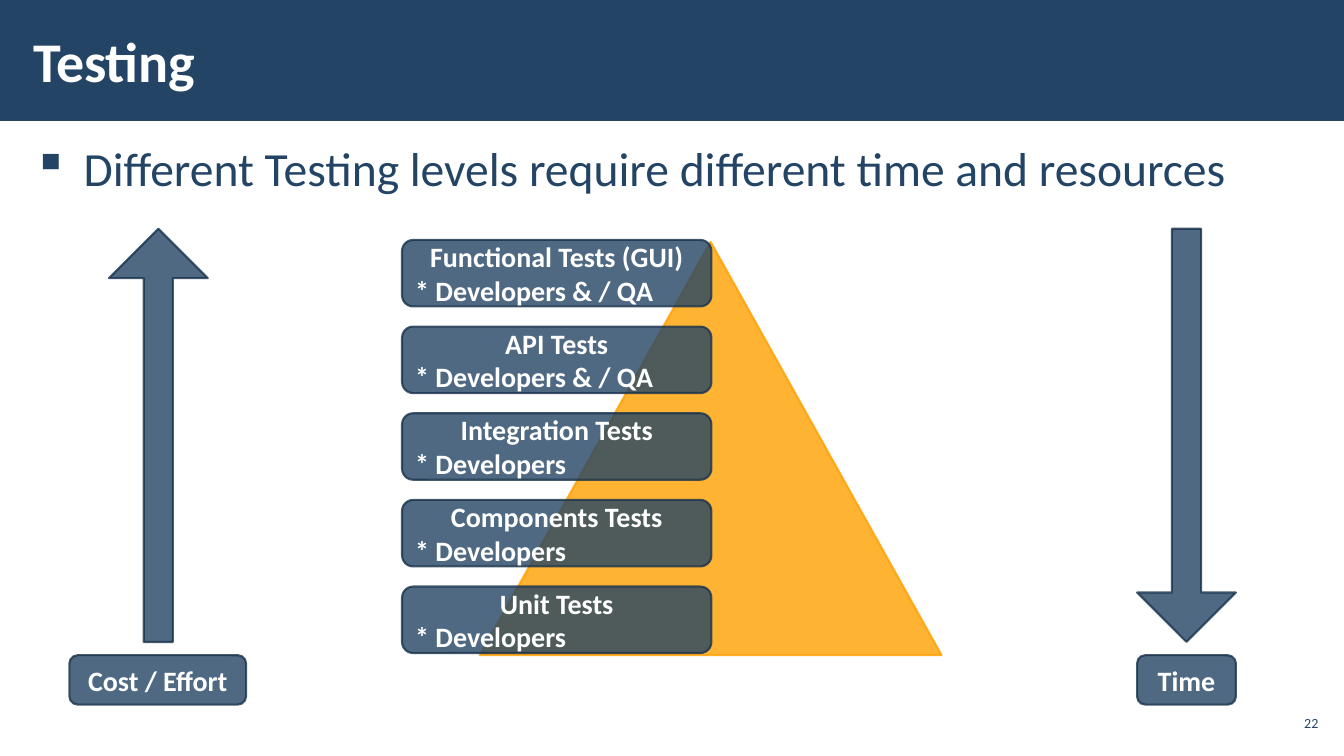
"""Build the slide on testing levels, their cost and their time."""
from lxml.etree import SubElement
from pptx import Presentation
from pptx.dml.color import RGBColor
from pptx.enum.shapes import MSO_SHAPE as Shape
from pptx.enum.text import MSO_ANCHOR as Anchor, PP_ALIGN as Align
from pptx.oxml.ns import qn
from pptx.util import Pt

NAVY = RGBColor(0x23, 0x44, 0x65)
DARK_NAVY = RGBColor(0x1A, 0x33, 0x4C)
ORANGE = RGBColor(0xFF, 0xA0, 0x00)
WHITE = RGBColor(0xFF, 0xFF, 0xFF)

deck = Presentation()
deck.slide_width, deck.slide_height = Pt(960), Pt(540)
slide = deck.slides.add_slide(deck.slide_layouts[6])


def add_translucent(kind, left, top, width, height, fill=NAVY, edge=DARK_NAVY):
    shape = slide.shapes.add_shape(kind, Pt(left), Pt(top), Pt(width), Pt(height))
    shape.shadow.inherit = False
    shape.fill.solid()
    shape.fill.fore_color.rgb = fill
    shape.line.color.rgb = edge
    shape.line.width = Pt(1.5)
    for color in shape._element.spPr.iter(qn("a:srgbClr")):
        SubElement(color, qn("a:alpha"), val="80000")
    return shape


def write(shape, lines, size, color, bold=False, anchor=Anchor.MIDDLE):
    frame = shape.text_frame
    frame.word_wrap = True
    frame.vertical_anchor = anchor
    for index, (text, align) in enumerate(lines):
        para = frame.add_paragraph() if index else frame.paragraphs[0]
        para.text = text
        para.alignment = align
        para.font.name = "Calibri"
        para.font.size = Pt(size)
        para.font.bold = bold
        para.font.color.rgb = color
    return frame


banner = slide.shapes.add_shape(Shape.RECTANGLE, 0, 0, Pt(960), Pt(86.4))
banner.shadow.inherit = False
banner.fill.solid()
banner.fill.fore_color.rgb = NAVY
banner.line.fill.background()

for text, left, top, width, height, side, size, color, bold, align, anchor in [
    ("Different Testing levels require different time and resources",
     15.1, 94.3, 930, 409.7, 8.64, 34, NAVY, False, Align.LEFT, Anchor.TOP),
    ("Testing", 15.1, 7.9, 749, 69.8, 8.64, 40, WHITE, True, Align.LEFT, Anchor.MIDDLE),
    ("22", 910.8, 504, 33.8, 24.5, 2.88, 10, NAVY, False, Align.RIGHT, Anchor.MIDDLE),
]:
    box = slide.shapes.add_textbox(Pt(left), Pt(top), Pt(width), Pt(height))
    frame = write(box, [(text, align)], size, color, bold, anchor)
    frame.margin_left = frame.margin_right = Pt(side)
    frame.margin_top = frame.margin_bottom = Pt(2.88)
    if anchor == Anchor.TOP:
        para = frame.paragraphs[0]
        para.line_spacing = 1.05
        para.space_before = para.space_after = Pt(6)
        properties = para._p.get_or_add_pPr()
        properties.set("marL", str(Pt(36)))
        properties.set("indent", str(Pt(-36)))
        bullet = SubElement(properties, qn("a:buChar"), char="▪")
        properties.insert_element_before(bullet, "a:tabLst", "a:defRPr", "a:extLst")

add_translucent(Shape.ISOSCELES_TRIANGLE, 342.7, 172.8, 329.8, 295.2, ORANGE, ORANGE)

LEVELS = [
    ("Functional Tests (GUI)", "* Developers & / QA"),
    ("API Tests", "* Developers & / QA"),
    ("Integration Tests", "* Developers"),
    ("Components Tests", "* Developers"),
    ("Unit Tests", "* Developers"),
]
for row, (level, owner) in enumerate(LEVELS):
    box = add_translucent(Shape.ROUNDED_RECTANGLE, 287.2, 171.4 + 61.9 * row, 221, 47.5)
    write(box, [(level, Align.CENTER), (owner, Align.LEFT)], 20, WHITE, True)

for label, kind, arrow_left, label_left, label_width in [
    ("Cost / Effort", Shape.UP_ARROW, 77.8, 49.6, 126.2),
    ("Time", Shape.DOWN_ARROW, 812.2, 812.2, 70.6),
]:
    arrow = add_translucent(kind, arrow_left, 163.4, 70.6, 295.2)
    arrow.adjustments[0] = 0.295
    arrow.adjustments[1] = 0.5
    box = add_translucent(Shape.ROUNDED_RECTANGLE, label_left, 468, label_width, 35.3)
    write(box, [(label, Align.CENTER)], 20, WHITE, True)

deck.save("out.pptx")
